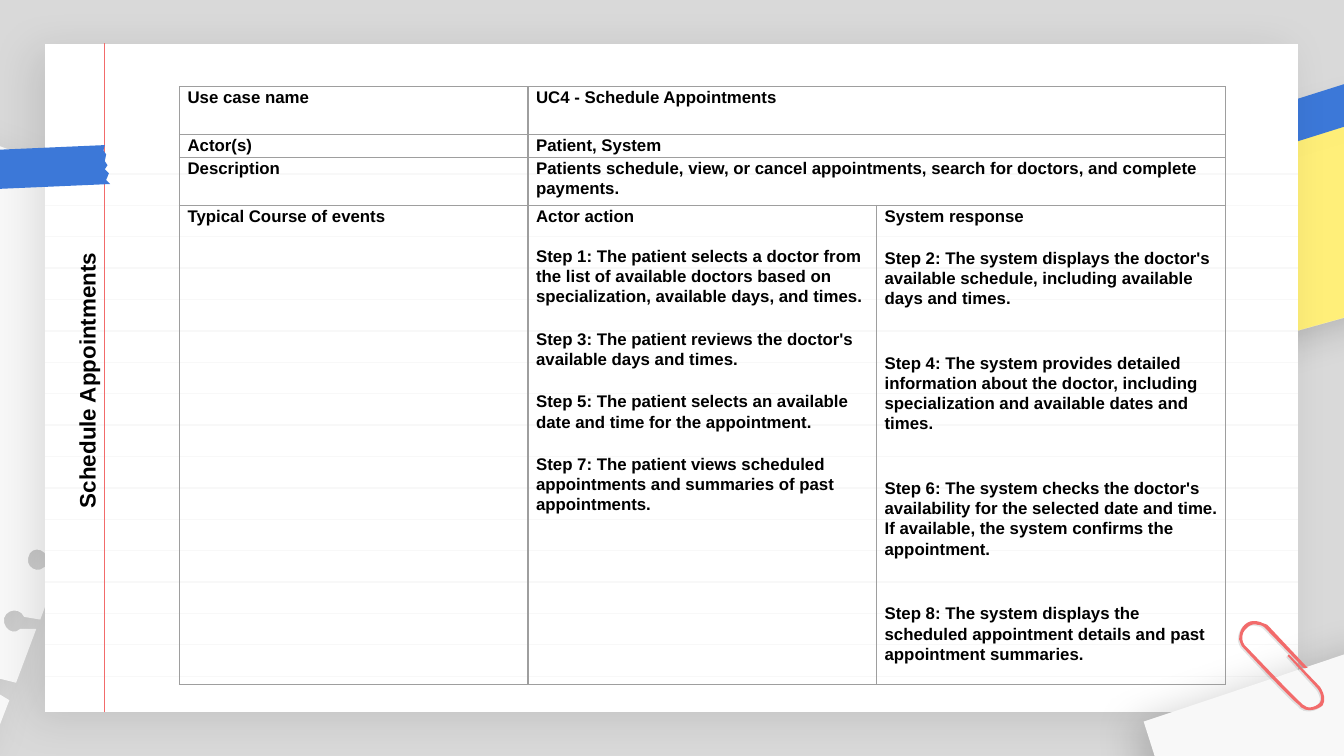
from dataclasses import dataclass
from typing import Optional

from lxml.etree import SubElement
from pptx import Presentation
from pptx.dml.color import RGBColor
from pptx.enum.shapes import MSO_CONNECTOR as Connector
from pptx.enum.text import MSO_ANCHOR as Anchor, MSO_AUTO_SIZE as AutoSize, PP_ALIGN as Align
from pptx.oxml import parse_xml
from pptx.oxml.ns import nsdecls, qn
from pptx.util import Inches, Pt

# The slide is a grid of 1000 columns by 562.5 rows
GRID = Inches(0.01)
COLUMNS, ROWS = 1000, 562.5
PAPER_LEFT, PAPER_TOP, PAPER_RIGHT, PAPER_BOTTOM = 33.7, 32.4, 966, 530

BACKGROUND = RGBColor(0xD9, 0xD9, 0xD9)
WHITE = RGBColor(0xFF, 0xFF, 0xFF)
OFF_WHITE = RGBColor(0xF8, 0xF8, 0xF8)
YELLOW = RGBColor(0xFF, 0xEF, 0x79)
BLUE = RGBColor(0x3C, 0x78, 0xD8)
RED = RGBColor(0xF2, 0x6B, 0x6B)
BLACK = RGBColor(0, 0, 0)
BORDER = RGBColor(0x9E, 0x9E, 0x9E)

TITLE_FONT = {"name": "Arial", "size": Pt(12), "bold": True}
TABLE_FONT = {"name": "Arial", "size": Pt(9), "bold": True}


@dataclass
class Outline:
    """Points in grid units: pairs are corners, sextets are cubic curves."""
    points: tuple
    fill: RGBColor
    shadow: Optional[int] = None  # shadow opacity in percent
    opacity: int = 100
    shift: tuple = (0, 0)


@dataclass
class Line:
    text: str
    before: float = 0
    after: float = 0


@dataclass
class TableRow:
    height: float
    cells: tuple


# Paper pieces
STICKY_NOTE = Outline(((908, 108), (948, 251), (1128, 201), (1088, 58)), YELLOW, 20)
NOTE_EDGE = Outline((
    (948, 251), (908, 108), (1088, 58), (1127, 201), (948, 251),
    (1127, 201), (1087, 59), (908, 109)), OFF_WHITE, 20)
RIGHT_TAPE = Outline((
    (947, 111), (948, 107), (945, 104), (945, 99), (943, 96), (943, 92), (941, 89),
    (941, 86), (939, 82), (1037, 51), (1036, 56), (1039, 58), (1038, 63), (1041, 66),
    (1040, 70), (1043, 72), (1043, 77), (1046, 80)), BLUE)
LEFT_TAPE = Outline((
    (-10, 141), (-9, 137), (-11, 134), (-10, 129), (-12, 125), (-11, 122), (-13, 119),
    (-11, 116), (-13, 112), (78, 108), (77, 112), (79, 115), (78, 120), (80, 123),
    (78, 126), (81, 129), (79, 134), (82, 137)), BLUE)
NOTEBOOK_PAGE = Outline((
    (-34, 598), (-36, 591, -45, 590, -48, 596), (-52, 602, -46, 609, -39, 607),
    (-29, 617), (-37, 636), (-378, 506), (-393, 501, -400, 485, -395, 470),
    (-235, 49), (-230, 35, -214, 28, -200, 33), (143, 163), (47, 416),
    (35, 414), (32, 407, 22, 407, 21, 415), (19, 422, 28, 427, 33, 422), (43, 426),
    (30, 461), (18, 459), (15, 452, 5, 453, 3, 460), (2, 468, 10, 473, 15, 468),
    (27, 468), (12, 508), (0, 505), (-2, 499, -12, 499, -14, 506),
    (-16, 512, -9, 518, -3, 515), (7, 521), (-5, 552), (-17, 552),
    (-19, 545, -28, 544, -31, 551), (-34, 557, -27, 564, -21, 561), (-11, 567),
    (-24, 603)), OFF_WHITE, 10)
PAPER = Outline((
    (PAPER_LEFT, PAPER_TOP), (PAPER_LEFT, PAPER_BOTTOM),
    (PAPER_RIGHT, PAPER_BOTTOM), (PAPER_RIGHT, PAPER_TOP)), WHITE, 10)
CORNER_SHEET = Outline(((1027, 478), (1074, 619), (896, 678), (851, 537)), OFF_WHITE, 20)
CLIP_POINTS = (
    (938, 463), (935, 462, 930, 461, 926, 465), (923, 468, 922, 472, 922, 476),
    (923, 478, 923, 480, 925, 482), (926, 483, 962, 522, 967, 525),
    (968, 527, 970, 527, 971, 528), (976, 529, 980, 528, 984, 525),
    (988, 519, 982, 511, 982, 511), (959, 487), (958, 488), (980, 512),
    (981, 513, 985, 519, 982, 523), (979, 526, 975, 527, 972, 526),
    (971, 525, 970, 525, 969, 524), (964, 520, 928, 482, 926, 480),
    (923, 476, 924, 470, 928, 467), (930, 465, 933, 464, 936, 465),
    (938, 465, 940, 466, 941, 467), (970, 497), (973, 497), (943, 465),
    (941, 464, 940, 464, 938, 463))
CLIP_SHADE = Outline(CLIP_POINTS, BLACK, opacity=10, shift=(-1, 1))
CLIP = Outline(CLIP_POINTS, RED)

USE_CASE = (
    TableRow(35.7, ((Line("Use case name"),), (Line("UC4 - Schedule Appointments"),))),
    TableRow(17.1, ((Line("Actor(s)"),), (Line("Patient, System"),))),
    TableRow(35.7, ((Line("Description"),), (Line(
        "Patients schedule, view, or cancel appointments, search for doctors, "
        "and complete payments."),))),
    TableRow(356.5, (
        (Line("Typical Course of events"),),
        (Line("Actor action", after=11),
         *(Line(text, after=12) for text in (
             "Step 1: The patient selects a doctor from the list of available doctors "
             "based on specialization, available days, and times.",
             "Step 3: The patient reviews the doctor's available days and times.",
             "Step 5: The patient selects an available date and time for the appointment.",
             "Step 7: The patient views scheduled appointments and summaries of past "
             "appointments."))),
        (Line("System response"),
         *(Line(text, 12, 12) for text in (
             "Step 2: The system displays the doctor's available schedule, including "
             "available days and times.",
             "Step 4: The system provides detailed information about the doctor, "
             "including specialization and available dates and times.",
             "Step 6: The system checks the doctor's availability for the selected date "
             "and time. If available, the system confirms the appointment.",
             "Step 8: The system displays the scheduled appointment details and past "
             "appointment summaries."))))),
)


def units(value: float) -> int:
    return round(value * GRID)


def set_format(target, values: dict) -> None:
    for name, value in values.items():
        setattr(target, name, value)


def flatten(points: tuple, steps: int = 6) -> list:
    """Turn corners and cubic curves into one list of corners."""
    corners = [points[0]]
    for point in points[1:]:
        if len(point) == 2:
            corners.append(point)
            continue
        controls = (corners[-1], point[:2], point[2:4], point[4:])
        for step in range(1, steps + 1):
            t = step / steps
            weights = ((1 - t) ** 3, 3 * t * (1 - t) ** 2, 3 * t * t * (1 - t), t ** 3)
            corners.append(tuple(
                sum(w * control[axis] for w, control in zip(weights, controls))
                for axis in (0, 1)))
    return corners


def draw_outline(slide, outline: Outline) -> None:
    shift_x, shift_y = outline.shift
    corners = [(units(x + shift_x), units(y + shift_y)) for x, y in flatten(outline.points)]
    builder = slide.shapes.build_freeform(*corners[0])
    builder.add_line_segments(corners[1:], close=True)
    shape = builder.convert_to_shape()
    shape.fill.solid()
    shape.fill.fore_color.rgb = outline.fill
    shape.line.fill.background()
    shape.shadow.inherit = False
    properties = shape.element.spPr
    if outline.opacity < 100:
        color = properties.find(qn("a:solidFill"))[0]
        SubElement(color, qn("a:alpha"), val=str(outline.opacity * 1000))
    if outline.shadow:
        properties.find(qn("a:effectLst")).append(parse_xml(
            f'<a:outerShdw {nsdecls("a")} blurRad="{Pt(22.5)}" dist="{Pt(7.5)}" '
            f'dir="{150 * 60000}" algn="bl" rotWithShape="0"><a:srgbClr val="000000">'
            f'<a:alpha val="{outline.shadow * 1000}"/></a:srgbClr></a:outerShdw>'))


def draw_line(slide, start: tuple, end: tuple, color: RGBColor) -> None:
    line = slide.shapes.add_connector(
        Connector.STRAIGHT, *(units(value) for value in (*start, *end)))
    line.line.color.rgb = color
    line.line.width = Pt(0.75)
    SubElement(line.element.spPr, qn("a:effectLst"))


def place_title(slide, text: str) -> None:
    title = slide.shapes.title
    slide.shapes.element.append(title.element)  # bring in front of the paper
    set_format(title, {"left": units(-155.5), "top": units(268), "width": units(440),
                       "height": units(30), "rotation": 270})
    set_format(title.text_frame, {
        "text": text, "word_wrap": True, "auto_size": AutoSize.NONE,
        "vertical_anchor": Anchor.MIDDLE, "margin_top": 0, "margin_bottom": 0})
    paragraph = title.text_frame.paragraphs[0]
    paragraph.alignment = Align.CENTER
    set_format(paragraph.font, TITLE_FONT)
    paragraph.font.color.rgb = BLACK


def format_cell(cell) -> None:
    set_format(cell, {"margin_left": units(6), "margin_right": units(6),
                      "margin_top": 0, "margin_bottom": 0})
    properties = cell._tc.get_or_add_tcPr()
    for side in ("lnL", "lnR", "lnT", "lnB"):
        properties.append(parse_xml(
            f'<a:{side} {nsdecls("a")} w="{Pt(0.75)}"><a:solidFill>'
            f'<a:srgbClr val="{BORDER}"/></a:solidFill></a:{side}>'))
    cell.fill.background()


def write_cell(cell, lines: tuple) -> None:
    for index, line in enumerate(lines):
        frame = cell.text_frame
        paragraph = frame.add_paragraph() if index else frame.paragraphs[0]
        set_format(paragraph, {"text": line.text, "line_spacing": 1.07,
                               "space_before": Pt(line.before), "space_after": Pt(line.after)})
        set_format(paragraph.font, TABLE_FONT)
        paragraph.font.color.rgb = BLACK


def draw_table(slide, rows: tuple) -> None:
    height = sum(row.height for row in rows)
    table = slide.shapes.add_table(
        len(rows), 3, units(133.6), units(64.5), units(778), units(height)).table
    set_format(table, {"first_row": False, "horz_banding": False})
    for row_index, row in enumerate(rows):
        table.rows[row_index].height = units(row.height)
        for cell in table.rows[row_index].cells:
            format_cell(cell)
        if len(row.cells) == 2:
            table.cell(row_index, 1).merge(table.cell(row_index, 2))
        for column_index, lines in enumerate(row.cells):
            write_cell(table.cell(row_index, column_index), lines)


def main() -> None:
    presentation = Presentation()
    presentation.slide_width, presentation.slide_height = units(COLUMNS), units(ROWS)
    slide = presentation.slides.add_slide(presentation.slide_layouts[5])
    slide.background.fill.solid()
    slide.background.fill.fore_color.rgb = BACKGROUND

    # Desk items and the ruled paper
    for outline in (STICKY_NOTE, NOTE_EDGE, RIGHT_TAPE, NOTEBOOK_PAGE, PAPER):
        draw_outline(slide, outline)
    for index in range(17):
        row = 129.4 + index * 23.36
        draw_line(slide, (PAPER_LEFT, row), (PAPER_RIGHT, row), OFF_WHITE)
    draw_line(slide, (77.7, PAPER_BOTTOM), (77.7, PAPER_TOP), RED)
    for outline in (CORNER_SHEET, CLIP_SHADE, CLIP, LEFT_TAPE):
        draw_outline(slide, outline)

    # Content
    place_title(slide, "Schedule Appointments")
    draw_table(slide, USE_CASE)
    presentation.save("out.pptx")


if __name__ == "__main__":
    main()
